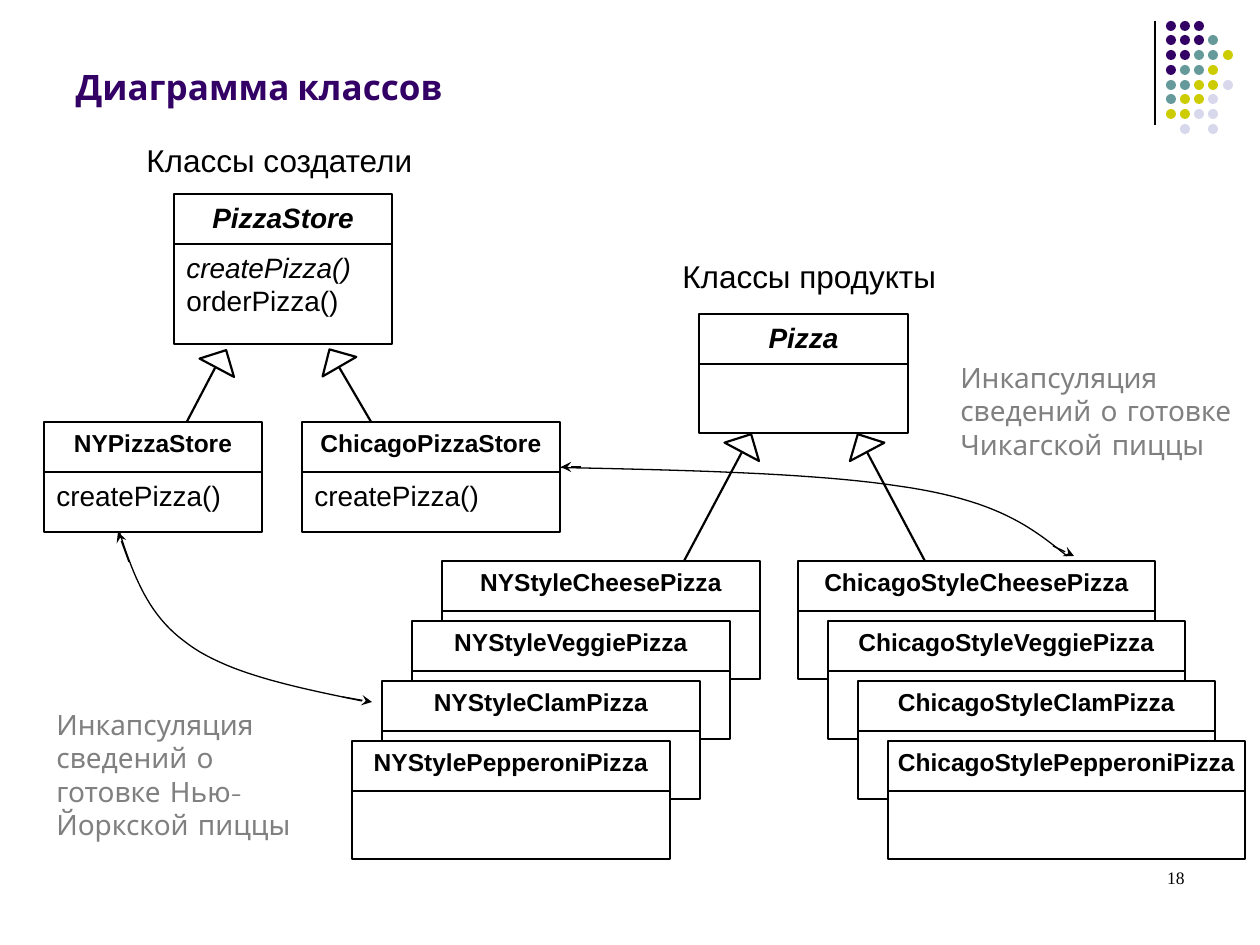
from lxml import etree
from pptx import Presentation
from pptx.dml.color import RGBColor
from pptx.enum.shapes import MSO_CONNECTOR as Link, MSO_SHAPE as Shape
from pptx.enum.text import MSO_ANCHOR as Anchor, MSO_AUTO_SIZE as AutoSize, PP_ALIGN as Align
from pptx.oxml.ns import qn
from pptx.util import Emu, Inches, Pt

PX_PER_INCH = 126
BLACK = RGBColor(0x00, 0x00, 0x00)
WHITE = RGBColor(0xFF, 0xFF, 0xFF)
GRAY = RGBColor(0x80, 0x80, 0x80)
PURPLE = RGBColor(0x33, 0x00, 0x66)
TEAL = RGBColor(0x66, 0x99, 0x99)
OLIVE = RGBColor(0xCC, 0xCC, 0x00)
LILAC = RGBColor(0xD8, 0xD8, 0xEC)


def px(value):
    return Emu(round(value * 914400 / PX_PER_INCH))


def write(paragraph, text, size=16, font="Arial", color=BLACK,
          bold=False, italic=False, align=Align.LEFT):
    paragraph.alignment = align
    run = paragraph.add_run()
    run.text = text
    run.font.size = Pt(size)
    run.font.name = font
    run.font.color.rgb = color
    run.font.bold = bold
    run.font.italic = italic


def bezier(start, control_1, control_2, end, steps=24):
    """Points along a cubic curve, without its start."""
    points = []
    for step in range(1, steps + 1):
        t = step / steps
        weights = ((1 - t) ** 3, 3 * t * (1 - t) ** 2, 3 * t * t * (1 - t), t ** 3)
        corners = (start, control_1, control_2, end)
        points.append(tuple(
            px(sum(weight * corner[axis] for weight, corner in zip(weights, corners)))
            for axis in (0, 1)))
    return points


class Diagram:
    HEADER = 50
    THIN = 0.75
    THICK = 1.25

    def __init__(self, slide):
        self.slide = slide
        self.shapes = slide.shapes

    def title(self, text, x, y, width, height):
        title = self.shapes.title
        title.left, title.top, title.width, title.height = map(px, (x, y, width, height))
        frame = title.text_frame
        frame.auto_size = AutoSize.NONE
        frame.vertical_anchor = Anchor.BOTTOM
        write(frame.paragraphs[0], text, size=20, font="Cabin", color=PURPLE, bold=True)

    def label(self, text, x, y, width, height, wrap=True, **style):
        box = self.shapes.add_textbox(*map(px, (x, y, width, height)))
        frame = box.text_frame
        frame.word_wrap = wrap
        frame.auto_size = AutoSize.SHAPE_TO_FIT_TEXT
        write(frame.paragraphs[0], text, **style)

    def shape(self, kind, x, y, width, height, fill=WHITE, line=None):
        shape = self.shapes.add_shape(kind, *map(px, (x, y, width, height)))
        shape.shadow.inherit = False
        shape.fill.solid()
        shape.fill.fore_color.rgb = fill
        if line:
            shape.line.color.rgb = BLACK
            shape.line.width = Pt(line)
        else:
            shape.line.fill.background()
        return shape

    def line(self, start, end, width=THIN, arrow=False):
        connector = self.shapes.add_connector(Link.STRAIGHT, *map(px, start + end))
        connector.line.color.rgb = BLACK
        connector.line.width = Pt(width)
        properties = connector._element.spPr
        if arrow:
            etree.SubElement(properties.find(qn("a:ln")), qn("a:tailEnd"), type="stealth")
        etree.SubElement(properties, qn("a:effectLst"))

    def curve(self, points):
        """Two joined cubic curves given by seven points."""
        builder = self.shapes.build_freeform(*map(px, points[0]))
        for first in (0, 3):
            builder.add_line_segments(bezier(*points[first:first + 4]), close=False)
        shape = builder.convert_to_shape()
        shape.shadow.inherit = False
        shape.fill.background()
        shape.line.color.rgb = BLACK
        shape.line.width = Pt(self.THIN)

    def inheritance(self, x, y, angle, start, end):
        triangle = self.shape(Shape.ISOSCELES_TRIANGLE, x, y, 39, 20, line=self.THICK)
        triangle.rotation = angle
        self.line(start, end, self.THICK)

    def class_box(self, name, x, y, width, body, methods=(), size=14, abstract=False):
        header = self.shape(Shape.RECTANGLE, x, y, width, self.HEADER, line=self.THIN)
        members = self.shape(Shape.RECTANGLE, x, y + self.HEADER, width, body, line=self.THIN)
        for shape in (header, members):
            shape.text_frame.word_wrap = False
            shape.text_frame.vertical_anchor = Anchor.TOP
        write(header.text_frame.paragraphs[0], name, size=size, bold=True,
              italic=abstract, align=Align.CENTER)
        frame = members.text_frame
        for index, (method, italic) in enumerate(methods):
            paragraph = frame.add_paragraph() if index else frame.paragraphs[0]
            write(paragraph, method, italic=italic)


def main():
    presentation = Presentation()
    presentation.slide_width, presentation.slide_height = Inches(10), Inches(7.5)
    slide = presentation.slides.add_slide(presentation.slide_layouts[5])
    diagram = Diagram(slide)

    # Corner ornament: one letter per dot
    diagram.line((1155, 21), (1155, 125))
    colors = {"P": PURPLE, "T": TEAL, "O": OLIVE, "L": LILAC}
    rows = ("PPP", "PPPT", "PPTTO", "PTTO", "TTOOL", "TOOL", "OOLL", " L L")
    for row, dots in enumerate(rows):
        for column, dot in enumerate(dots):
            if dot in colors:
                diagram.shape(Shape.OVAL, 1166 + column * 57 // 4, 21 + row * 59 // 4,
                              10, 10, fill=colors[dot])

    diagram.title("Диаграмма классов", 63, 16, 1084, 98)

    # Curved links between creators and products
    diagram.curve([(113, 512), (129, 561), (142, 610), (184, 641),
                   (224, 673), (294, 687), (362, 701)])
    diagram.line((343, 697), (372, 702), arrow=True)
    diagram.line((129, 562), (118, 532), arrow=True)
    diagram.curve([(471, 466), (635, 469), (799, 471), (898, 486),
                   (998, 500), (1032, 528), (1067, 556)])
    diagram.line((1053, 546), (1074, 556), arrow=True)
    diagram.line((581, 467), (561, 467), arrow=True)

    # Inheritance arrows
    diagram.inheritance(315, 348, -30, (339, 367), (408, 485))
    diagram.inheritance(202, 349, 28, (215, 368), (149, 494))
    diagram.inheritance(727, 433, 28, (742, 452), (658, 610))
    diagram.inheritance(843, 433, -28, (867, 452), (951, 610))

    # Creator classes
    diagram.label("Классы создатели", 134, 135, 294, 50, wrap=False, size=18)
    diagram.class_box("PizzaStore", 174, 194, 218, 100, size=16, abstract=True,
                      methods=[("createPizza()", True), ("orderPizza()", False)])
    for name, x, width in (("NYPizzaStore", 44, 218), ("ChicagoPizzaStore", 302, 258)):
        diagram.class_box(name, x, 422, width, 60, methods=[("createPizza()", False)])

    # Product classes: two stacks fanning out from the base class
    diagram.label("Классы продукты", 670, 251, 280, 50, wrap=False, size=18)
    diagram.class_box("Pizza", 699, 314, 209, 69, size=16, abstract=True)
    for style, x, step, width in (("Chicago", 798, 30, 357), ("NY", 442, -30, 318)):
        for index, kind in enumerate(("Cheese", "Veggie", "Clam", "Pepperoni")):
            diagram.class_box(f"{style}Style{kind}Pizza", x + index * step,
                              561 + index * 60, width, 68)

    # Remarks and slide number
    remark = {"font": "Comic Neue", "color": GRAY}
    diagram.label("Инкапсуляция сведений о готовке Нью-Йоркской пиццы",
                  44, 701, 268, 113, **remark)
    diagram.label("Инкапсуляция сведений о готовке Чикагской пиццы",
                  948, 354, 312, 81, **remark)
    diagram.label("18", 903, 861, 294, 63, size=10, font="Times New Roman", align=Align.RIGHT)

    presentation.save("out.pptx")


if __name__ == "__main__":
    main()
